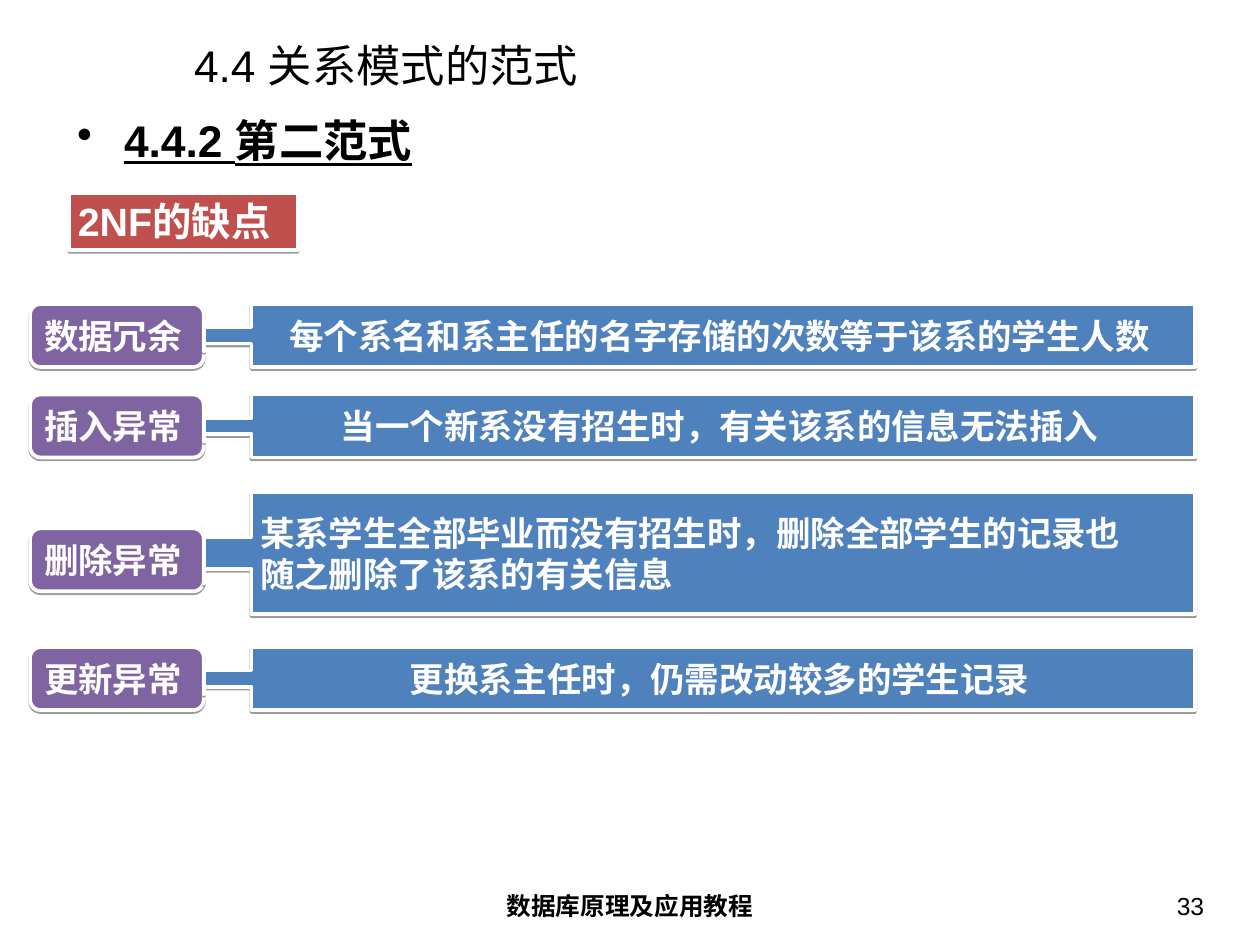
from dataclasses import dataclass

from lxml import etree
from pptx import Presentation
from pptx.dml.color import RGBColor
from pptx.enum.shapes import MSO_SHAPE
from pptx.enum.text import MSO_ANCHOR, PP_ALIGN
from pptx.oxml.ns import qn
from pptx.shapes.autoshape import Shape
from pptx.slide import Slide
from pptx.util import Inches, Pt

RECTANGLE = MSO_SHAPE.RECTANGLE
ROUNDED = MSO_SHAPE.FLOWCHART_ALTERNATE_PROCESS
CALLOUT = MSO_SHAPE.LEFT_ARROW_CALLOUT
LEFT, CENTER, RIGHT = PP_ALIGN.LEFT, PP_ALIGN.CENTER, PP_ALIGN.RIGHT
TOP, MIDDLE = MSO_ANCHOR.TOP, MSO_ANCHOR.MIDDLE

BLACK = RGBColor(0x00, 0x00, 0x00)
WHITE = RGBColor(0xFF, 0xFF, 0xFF)
RED = RGBColor(0xC0, 0x50, 0x4D)
PURPLE = RGBColor(0x80, 0x64, 0xA2)
BLUE = RGBColor(0x4F, 0x81, 0xBD)

CALLOUT_ADJUSTMENTS = (0.257, 0.25, -0.135, 0.952)
LABEL_LEFT, LABEL_WIDTH, ROW_HEIGHT = 0.34, 1.96, 0.71
CALLOUT_LEFT, CALLOUT_WIDTH = LABEL_LEFT + LABEL_WIDTH, 11.19


@dataclass
class TextStyle:
    size: float
    color: RGBColor = BLACK
    bold: bool = False
    underline: bool = False
    align: PP_ALIGN = LEFT
    anchor: MSO_ANCHOR = TOP
    bullet: bool = False


@dataclass
class Heading:
    bounds: tuple[float, float, float, float]
    text: str
    style: TextStyle


@dataclass
class Anomaly:
    label: str
    label_top: float
    lines: tuple[str, ...]
    callout_top: float
    callout_height: float = ROW_HEIGHT
    align: PP_ALIGN = CENTER


HEADINGS = (
    Heading((4.86, 9.98, 4.5, 0.55), "数据库原理及应用教程",
            TextStyle(20, bold=True, align=CENTER)),
    Heading((10.41, 9.98, 3.32, 0.55), "33", TextStyle(20, align=RIGHT)),
    Heading((2.05, 0.45, 11.83, 0.57), "4.4 关系模式的范式",
            TextStyle(36, anchor=MIDDLE)),
    Heading((0.73, 1.21, 12.8, 0.89), "4.4.2 第二范式",
            TextStyle(36, bold=True, underline=True, bullet=True)),
)

ANOMALIES = (
    Anomaly("数据冗余 ", 3.43,
            ("每个系名和系主任的名字存储的次数等于该系的学生人数 ",), 3.43),
    Anomaly("插入异常 ", 4.45,
            ("当一个新系没有招生时，有关该系的信息无法插入 ",), 4.45),
    Anomaly("删除异常 ", 5.96,
            ("某系学生全部毕业而没有招生时，删除全部学生的记录也",
             "随之删除了该系的有关信息"), 5.55, 1.38, LEFT),
    Anomaly("更新异常 ", 7.3,
            ("更换系主任时，仍需改动较多的学生记录 ",), 7.3),
)


def add_bullet(para) -> None:
    properties = para._p.get_or_add_pPr()
    properties.set("marL", str(Inches(0.53)))
    properties.set("indent", str(Inches(-0.53)))
    etree.SubElement(properties, qn("a:buChar")).set("char", "•")


def write_text(box: Shape, lines: tuple[str, ...], style: TextStyle,
               inset: float, wrap: bool) -> None:
    frame = box.text_frame
    frame_format = {
        "word_wrap": wrap, "vertical_anchor": style.anchor,
        "margin_left": Inches(inset), "margin_right": Inches(inset),
        "margin_top": Inches(inset / 2), "margin_bottom": Inches(inset / 2),
    }
    for name, value in frame_format.items():
        setattr(frame, name, value)
    font_format = {"name": "Arial", "size": Pt(style.size),
                   "bold": style.bold, "underline": style.underline}
    for index, line in enumerate(lines):
        para = frame.add_paragraph() if index else frame.paragraphs[0]
        para.alignment = style.align
        if style.bullet:
            add_bullet(para)
        span = para.add_run()
        span.text = line
        for name, value in font_format.items():
            setattr(span.font, name, value)
        span.font.color.rgb = style.color


def add_shadow(box: Shape) -> None:
    box.shadow.inherit = False
    effects = box._element.spPr.find(qn("a:effectLst"))
    shadow = etree.SubElement(effects, qn("a:outerShdw"))
    for name, value in {"blurRad": 0, "dist": Pt(1.6), "dir": 90 * 60000,
                        "rotWithShape": 0}.items():
        shadow.set(name, str(value))
    color = etree.SubElement(shadow, qn("a:srgbClr"))
    color.set("val", str(BLACK))
    etree.SubElement(color, qn("a:alpha")).set("val", "38000")


def add_heading(page: Slide, heading: Heading) -> None:
    box = page.shapes.add_textbox(*map(Inches, heading.bounds))
    write_text(box, (heading.text,), heading.style, 0.14, True)


def add_panel(page: Slide, kind: MSO_SHAPE,
              bounds: tuple[float, float, float, float], fill: RGBColor,
              lines: tuple[str, ...], style: TextStyle) -> Shape:
    box = page.shapes.add_shape(kind, *map(Inches, bounds))
    box.fill.solid()
    box.fill.fore_color.rgb = fill
    box.line.color.rgb = WHITE
    box.line.width = Pt(3)
    add_shadow(box)
    write_text(box, lines, style, 0.1, False)
    return box


def add_label(page: Slide, anomaly: Anomaly) -> None:
    bounds = (LABEL_LEFT, anomaly.label_top, LABEL_WIDTH, ROW_HEIGHT)
    add_panel(page, ROUNDED, bounds, PURPLE, (anomaly.label,),
              TextStyle(28, WHITE, bold=True, align=CENTER, anchor=MIDDLE))


def add_callout(page: Slide, anomaly: Anomaly) -> None:
    bounds = (CALLOUT_LEFT, anomaly.callout_top,
              CALLOUT_WIDTH, anomaly.callout_height)
    style = TextStyle(28, WHITE, bold=True, align=anomaly.align, anchor=MIDDLE)
    box = add_panel(page, CALLOUT, bounds, BLUE, anomaly.lines, style)
    for index, value in enumerate(CALLOUT_ADJUSTMENTS):
        box.adjustments[index] = value


def main() -> None:
    deck = Presentation()
    deck.slide_width, deck.slide_height = Inches(14.22), Inches(10.66)
    page = deck.slides.add_slide(deck.slide_layouts[6])

    # Footer, page number, title and section heading
    for heading in HEADINGS:
        add_heading(page, heading)

    # Topic tag
    add_panel(page, RECTANGLE, (0.78, 2.18, 2.58, 0.64), RED,
              ("2NF的缺点",), TextStyle(32, WHITE, bold=True))

    # Anomaly labels, then their explanations on top
    for anomaly in ANOMALIES:
        add_label(page, anomaly)
    for anomaly in ANOMALIES:
        add_callout(page, anomaly)

    deck.save("out.pptx")


if __name__ == "__main__":
    main()
